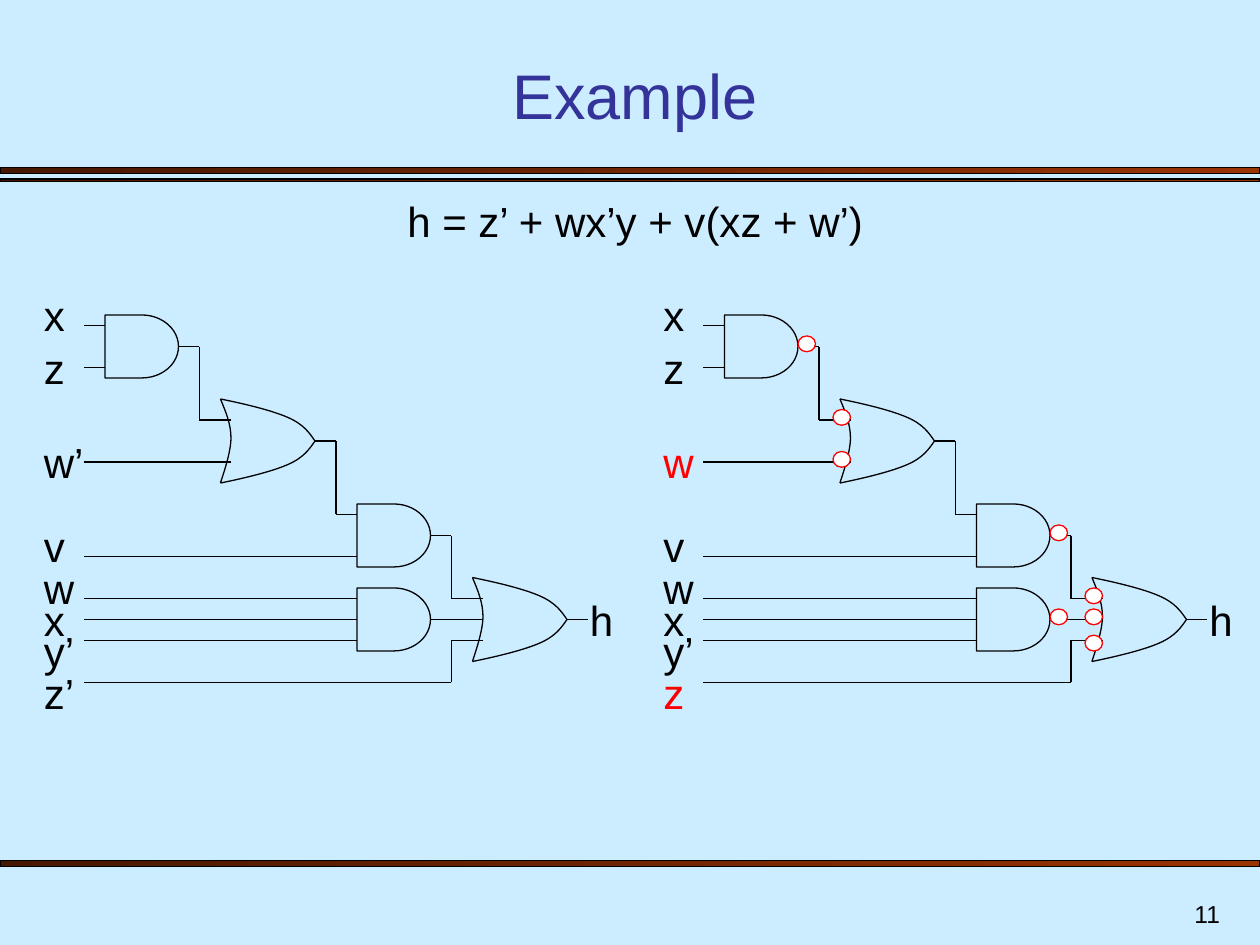
"""Build a slide comparing an AND-OR circuit with its NAND form."""
from dataclasses import dataclass
from itertools import pairwise

from lxml import etree
from pptx import Presentation
from pptx.dml.color import RGBColor
from pptx.enum.shapes import MSO_CONNECTOR, MSO_SHAPE
from pptx.enum.text import MSO_ANCHOR, PP_ALIGN
from pptx.oxml.ns import qn
from pptx.util import Emu, Inches, Pt

STRAIGHT = MSO_CONNECTOR.STRAIGHT
RECT, OVAL, AND_GATE = MSO_SHAPE.RECTANGLE, MSO_SHAPE.OVAL, MSO_SHAPE.FLOWCHART_DELAY
LEFT, CENTER, RIGHT = PP_ALIGN.LEFT, PP_ALIGN.CENTER, PP_ALIGN.RIGHT
TOP, BOTTOM = MSO_ANCHOR.TOP, MSO_ANCHOR.BOTTOM

COLORS = {"bg": "CCECFF", "title": "333399", "ink": "000000", "red": "FF0000",
          "white": "FFFFFF", "bar": "993300", "bar_dark": "461700"}
UNITS_PER_INCH = 12
BUBBLE_SIZE = (1.67, 1.5)


@dataclass
class Label:
    text: str
    col: float
    row: float
    color: str = "ink"


@dataclass
class Circuit:
    left: float
    labels: list[Label]
    bubbles: list[tuple[float, float]]


AND_GATES = [(7, 30), (31, 48), (31, 56)]
OR_GATES = [(18, 38), (42, 55)]
OR_BACK = [(0, 0), (0.5, 1.2), (1, 2.4), (1, 3.7), (1, 5.1), (0.25, 7.2), (0, 8)]
OR_TOP = [(0, 0), (2.45, 0.5), (4.9, 1.1), (6.4, 1.75), (7.9, 2.4), (8.45, 3.2), (9, 4)]
OR_CURVES = [OR_BACK, OR_TOP, [(x, 8 - y) for x, y in OR_TOP]]
WIRES = [
    [(5, 31), (7, 31)],
    [(5, 35), (7, 35)],
    [(14, 33), (16, 33), (16, 40), (19, 40)],
    [(5, 44), (19, 44)],
    [(27, 42), (29, 42), (29, 49), (31, 49)],
    *[[(5, row), (31, row)] for row in (53, 57, 59, 61)],
    [(38, 51), (40, 51), (40, 57), (43, 57)],
    [(38, 59), (43, 59)],
    [(5, 65), (40, 65), (40, 61), (43, 61)],
    [(51, 59), (53, 59)],
]
COMMON = [Label("x", 0, 27), Label("z", 0, 32), Label("v", 0, 49), Label("w", 0, 53),
          Label("x", 0, 56), Label("y’", 0, 59), Label("h", 52, 56)]
CIRCUITS = [
    Circuit(3, COMMON + [Label("w’", 0, 41), Label("z’", 0, 63)], []),
    Circuit(62, COMMON + [Label("w", 0, 41, "red"), Label("z", 0, 63, "red")],
            [(14, 32), (17.33, 39), (17.33, 43), (38, 50), (38, 58),
             (41.33, 56), (41.33, 58), (41.33, 60.5)]),
]


def rgb(name: str) -> RGBColor:
    """Return a palette colour."""
    return RGBColor.from_string(COLORS[name])


def units(*values: float) -> list[Emu]:
    """Convert grid units to lengths."""
    return [Inches(v / UNITS_PER_INCH) for v in values]


def outline(sp, color: str = "ink") -> None:
    """Give a shape a thin line and no shadow."""
    sp.line.color.rgb = rgb(color)
    sp.line.width = Pt(0.75)
    sp.shadow.inherit = False


def write(sp, text: str, size: int, color: str = "ink", align=LEFT, anchor=TOP) -> None:
    """Fill a text shape with one formatted paragraph."""
    tf = sp.text_frame
    tf.text = text
    tf.word_wrap = True
    tf.vertical_anchor = anchor
    p = tf.paragraphs[0]
    p.alignment = align
    font = p.runs[0].font
    font.name, font.size, font.color.rgb = "Arial", Pt(size), rgb(color)


def add_bar(shapes, width: Emu, top: float, height: float) -> None:
    """Draw a full-width gradient bar."""
    sp = shapes.add_shape(RECT, 0, Inches(top), width, Inches(height))
    sp.fill.gradient()
    sp.fill.gradient_angle = 180
    for stop, position, color in zip(sp.fill.gradient_stops, (0, 1), ("bar", "bar_dark")):
        stop.position = position
        stop.color.rgb = rgb(color)
    outline(sp)


def add_wire(shapes, points: list[tuple[float, float]]) -> None:
    """Join grid points with straight connectors."""
    for start, end in pairwise(points):
        line = shapes.add_connector(STRAIGHT, *units(*start, *end))
        line.line.color.rgb = rgb("ink")
        line.line.width = Pt(0.75)
        etree.SubElement(line._element.spPr, qn("a:effectLst"))


def add_curve(shapes, points: list[tuple[float, float]]) -> None:
    """Draw an open chain of cubic curves through grid points."""
    start, *rest = [units(*point) for point in points]
    builder = shapes.build_freeform(*start)
    builder.add_line_segments(rest, close=False)
    sp = builder.convert_to_shape()
    sp.fill.background()
    outline(sp)
    segments = list(sp._element.iter(qn("a:lnTo")))
    for i in range(0, len(segments), 3):
        cubic = etree.Element(qn("a:cubicBezTo"))
        segments[i].addprevious(cubic)
        for segment in segments[i:i + 3]:
            cubic.append(segment[0])
            segment.getparent().remove(segment)


def add_circuit(slide, circuit: Circuit) -> None:
    """Draw one circuit as a group."""
    shapes = slide.shapes.add_group_shape().shapes
    x0 = circuit.left
    for wire in WIRES:
        add_wire(shapes, [(x0 + x, y) for x, y in wire])
    for col, row in AND_GATES:
        sp = shapes.add_shape(AND_GATE, *units(x0 + col, row, 7, 6))
        sp.fill.background()
        outline(sp)
    for col, row in OR_GATES:
        for curve in OR_CURVES:
            add_curve(shapes, [(x0 + col + x, row + y) for x, y in curve])
    for label in circuit.labels:
        sp = shapes.add_textbox(*units(x0 + label.col, label.row, 7, 6))
        write(sp, label.text, 24, label.color)
    for col, row in circuit.bubbles:
        sp = shapes.add_shape(OVAL, *units(x0 + col, row, *BUBBLE_SIZE))
        sp.fill.solid()
        sp.fill.fore_color.rgb = rgb("white")
        outline(sp, "red")


def main() -> None:
    """Build and save the slide."""
    prs = Presentation()
    prs.slide_width, prs.slide_height = Inches(10), Inches(7.5)
    s = prs.slides.add_slide(prs.slide_layouts[5])
    s.background.fill.solid()
    s.background.fill.fore_color.rgb = rgb("bg")
    for top, height in ((1.33, 0.05), (1.42, 0.02), (6.83, 0.05)):
        add_bar(s.shapes, prs.slide_width, top, height)
    title = s.shapes.title
    title.left, title.top, title.width, title.height = map(Inches, (0.58, 0.42, 8.92, 0.68))
    write(title, "Example", 36, "title", CENTER, BOTTOM)
    formula = s.shapes.add_textbox(*units(32, 18, 57, 6))
    write(formula, "h = z’ + wx’y + v(xz + w’)", 24, align=CENTER)
    for circuit in CIRCUITS:
        add_circuit(s, circuit)
    number = s.shapes.add_textbox(*map(Inches, (7.7, 7, 2.08, 0.42)))
    write(number, "11", 14, align=RIGHT, anchor=BOTTOM)
    prs.save("out.pptx")


if __name__ == "__main__":
    main()
